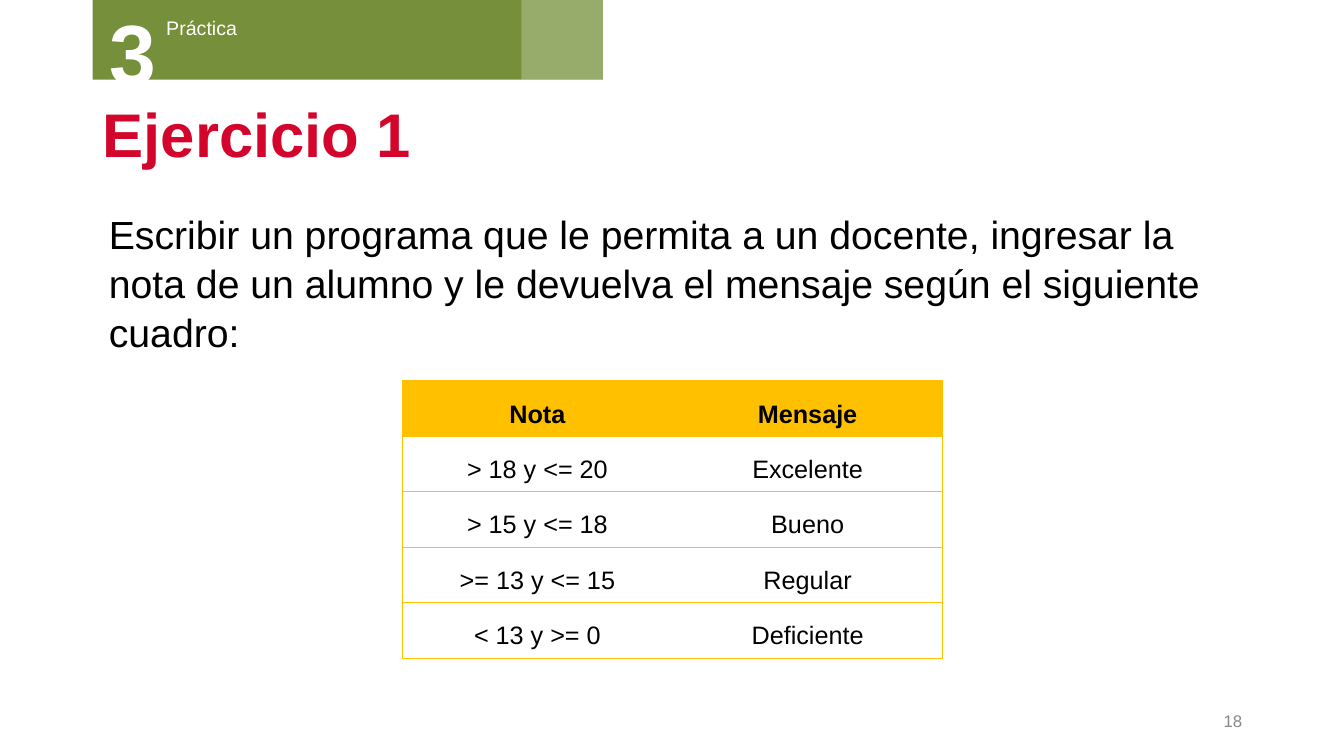
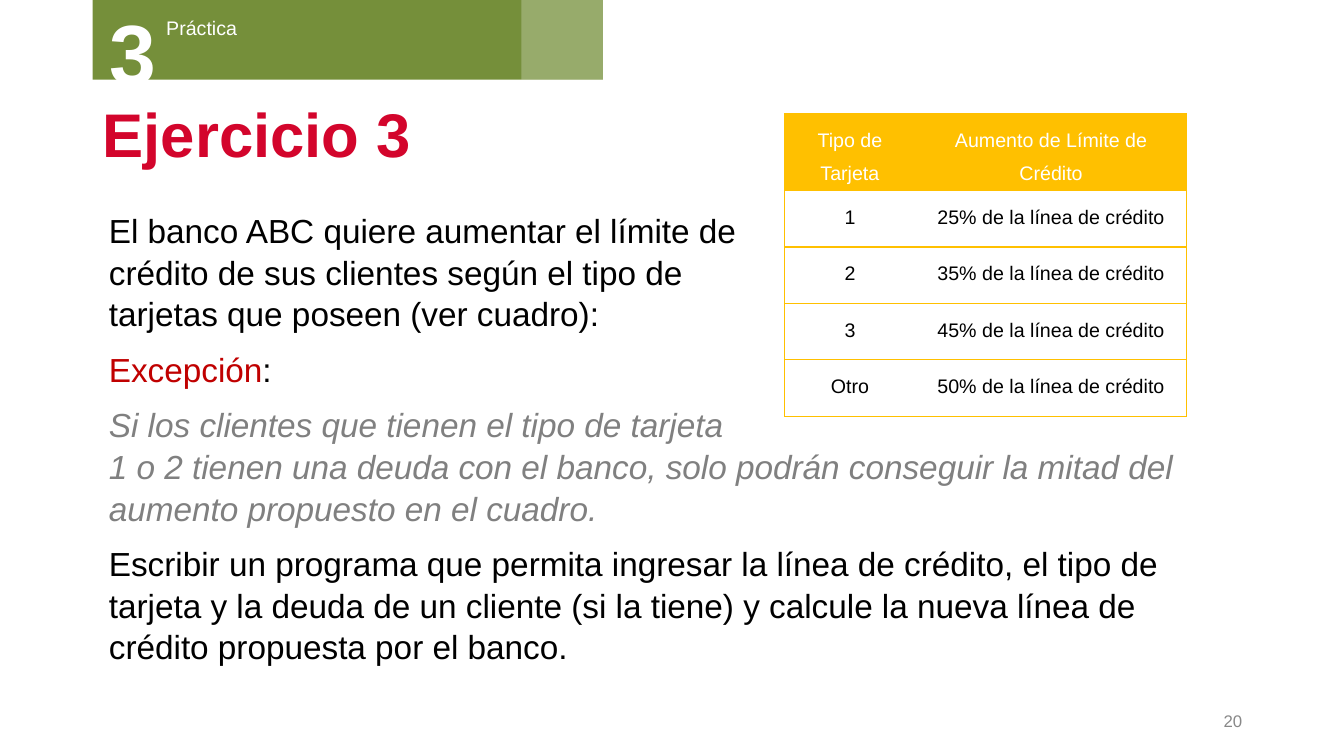
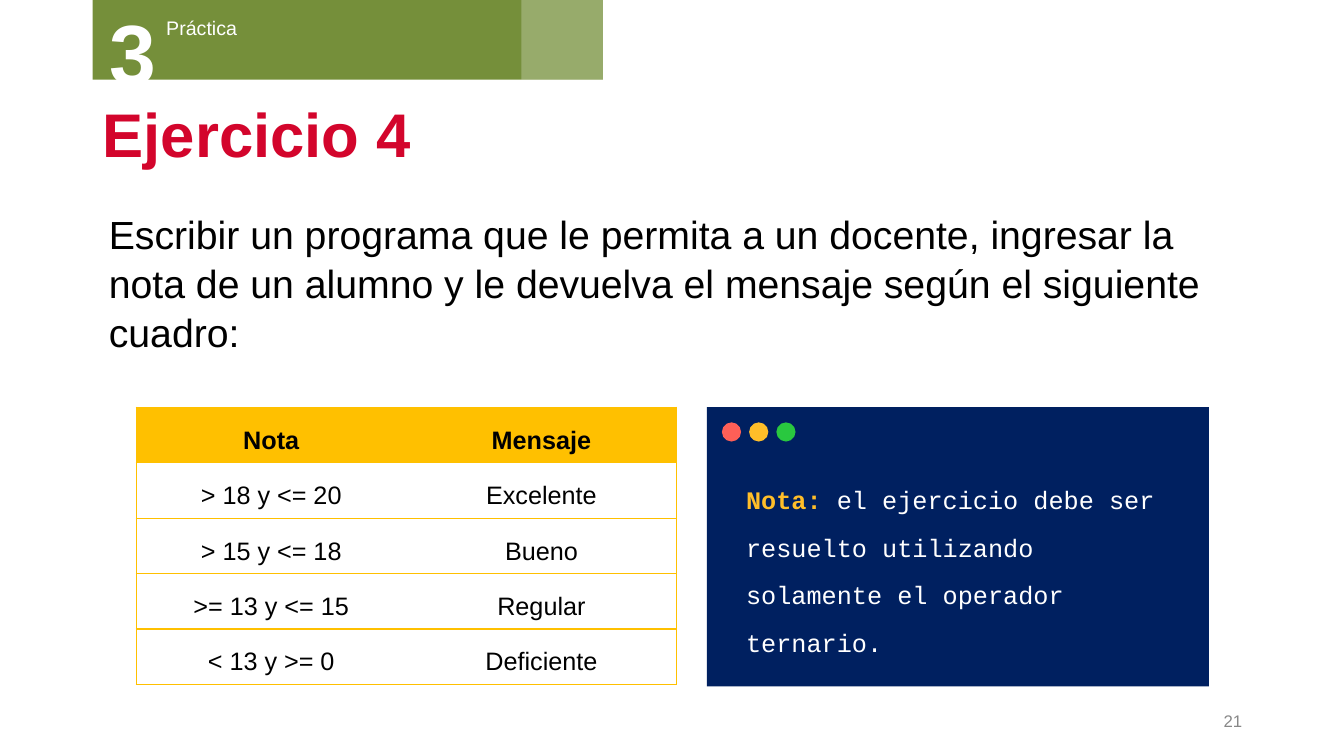
"""Build three practice slides with a shared banner, title and grade tables."""
import pptx
import pptx.util
import pptx.dml.color
import pptx.enum.shapes
import pptx.enum.text
import pptx.oxml.ns
import lxml.etree

RGBColor = pptx.dml.color.RGBColor
Shape = pptx.enum.shapes.MSO_SHAPE
Align = pptx.enum.text.PP_ALIGN
Anchor = pptx.enum.text.MSO_ANCHOR
qn = pptx.oxml.ns.qn

GREEN = RGBColor(0x75, 0x8F, 0x3A)
RED = RGBColor(0xD3, 0x05, 0x2C)
DARK_RED = RGBColor(0xC0, 0x00, 0x00)
GOLD = RGBColor(0xFF, 0xC0, 0x00)
NAVY = RGBColor(0x00, 0x20, 0x60)
CORAL = RGBColor(0xFE, 0x5F, 0x57)
AMBER = RGBColor(0xFF, 0xBE, 0x29)
LIME = RGBColor(0x29, 0xC8, 0x3F)
GRAY = RGBColor(0x80, 0x80, 0x80)
PALE = RGBColor(0x88, 0x88, 0x88)
BLACK = RGBColor(0, 0, 0)
WHITE = RGBColor(0xFF, 0xFF, 0xFF)

SCALE = 9144
TASK = ("Escribir un programa que le permita a un docente, ingresar la nota "
        "de un alumno y le devuelva el mensaje según el siguiente cuadro:")
GRADES = [("Nota", "Mensaje"), ("> 18 y <= 20", "Excelente"),
          ("> 15 y <= 18", "Bueno"), (">= 13 y <= 15", "Regular"),
          ("< 13 y >= 0", "Deficiente")]
LIMITS = [("Tipo de Tarjeta", "Aumento de Límite de Crédito"),
          ("1", "25% de la línea de crédito"),
          ("2", "35% de la línea de crédito"),
          ("3", "45% de la línea de crédito"),
          ("Otro", "50% de la línea de crédito")]
CARDS = [
    [("El banco ABC quiere aumentar el límite de\n"
      "crédito de sus clientes según el tipo de\n"
      "tarjetas que poseen (ver cuadro):", {})],
    [("Excepción", {"color": DARK_RED}), (":", {})],
    [("Si los clientes que tienen el tipo de tarjeta\n"
      "1 o 2 tienen una deuda con el banco, solo podrán conseguir la mitad "
      "del aumento propuesto en el cuadro.", {"color": GRAY, "italic": True})],
    [("Escribir un programa que permita ingresar la línea de crédito, el tipo "
      "de tarjeta y la deuda de un cliente (si la tiene) y calcule la nueva "
      "línea de crédito propuesta por el banco.", {})],
]


def px(*sizes):
    return [pptx.util.Emu(size * SCALE) for size in sizes]


def style(font, size, color, bold=False, italic=False, face="Arial"):
    font.name, font.size = face, pptx.util.Pt(size)
    font.bold, font.italic = bold, italic
    font.color.rgb = color


def write(frame, paras, align=Align.LEFT, line=1.0, gap=0, indent=None,
          anchor=Anchor.TOP, inset=(10, 5, 10, 5), **look):
    frame.word_wrap = True
    frame.auto_size = pptx.enum.text.MSO_AUTO_SIZE.NONE
    frame.vertical_anchor = anchor
    (frame.margin_left, frame.margin_top,
     frame.margin_right, frame.margin_bottom) = px(*inset)
    if isinstance(paras, str):
        paras = [[(paras, {})]]
    for index, runs in enumerate(paras):
        para = frame.add_paragraph() if index else frame.paragraphs[0]
        para.alignment, para.line_spacing = align, line
        para.space_before = pptx.util.Pt(gap if index else 0)
        if indent is not None:
            props = para._p.get_or_add_pPr()
            props.set("marL", str(indent * SCALE))
            props.set("indent", "0")
            lxml.etree.SubElement(props, qn("a:buNone"))
        for words, extra in runs:
            for row, part in enumerate(words.split("\n")):
                if row:
                    para.add_line_break()
                run = para.add_run()
                run.text = part
                style(run.font, **{**look, **extra})


class Deck:
    def __init__(self):
        self.show = pptx.Presentation()
        self.show.slide_width, self.show.slide_height = px(1333, 750)
        self.slide = None

    def start(self, title, number):
        self.slide = self.show.slides.add_slide(self.show.slide_layouts[1])
        self.banner()
        self.holder(self.slide.shapes.title, (92, 93, 1150, 86), title,
                    size=44, color=RED, bold=True, line=0.9,
                    anchor=Anchor.MIDDLE)
        self.label((942, 695, 300, 40), number, size=12, color=PALE,
                   align=Align.RIGHT, anchor=Anchor.MIDDLE)

    def banner(self):
        self.shape((92, -1, 506, 80), GREEN)
        self.label((155, 11, 275, 34), "Práctica", size=14, color=WHITE)
        self.label((99, -4, 112, 111), "3", size=60, color=WHITE, bold=True)
        self.shape((517, -1, 81, 80), WHITE, alpha=25)

    def holder(self, item, box, paras, **look):
        item.left, item.top, item.width, item.height = px(*box)
        write(item.text_frame, paras, **look)

    def body(self, paras, size):
        self.holder(self.slide.placeholders[1], (92, 202, 1150, 478), paras,
                    size=size, color=BLACK, line=1.04, gap=10, indent=6)

    def label(self, box, words, **look):
        write(self.slide.shapes.add_textbox(*px(*box)).text_frame,
              words, **look)

    def shape(self, box, color, kind=Shape.RECTANGLE, alpha=100):
        item = self.slide.shapes.add_shape(kind, *px(*box))
        item.shadow.inherit = False
        item.fill.solid()
        item.fill.fore_color.rgb = color
        item.line.fill.background()
        if alpha < 100:
            tone = item._element.spPr.find(".//" + qn("a:srgbClr"))
            lxml.etree.SubElement(tone, qn("a:alpha"), val=str(alpha * 1000))
        return item

    def edge(self, cell, side, shown):
        props = cell._tc.get_or_add_tcPr()
        line = lxml.etree.SubElement(props, qn("a:ln" + side), w="12700")
        if shown:
            fill = lxml.etree.SubElement(line, qn("a:solidFill"))
            lxml.etree.SubElement(fill, qn("a:srgbClr"), val=str(GOLD))
        else:
            lxml.etree.SubElement(line, qn("a:noFill"))

    def table(self, left, top, cols, rows, data, head, **look):
        grid = self.slide.shapes.add_table(
            len(data), len(cols), *px(left, top, sum(cols), sum(rows))).table
        grid.first_row = grid.horz_banding = False
        for col, width in zip(grid.columns, px(*cols)):
            col.width = width
        for row, height in zip(grid.rows, px(*rows)):
            row.height = height
        for r, texts in enumerate(data):
            for c, words in enumerate(texts):
                cell = grid.cell(r, c)
                self.edge(cell, "L", c == 0)
                self.edge(cell, "R", c == len(cols) - 1)
                self.edge(cell, "T", True)
                self.edge(cell, "B", True)
                cell.fill.solid()
                cell.fill.fore_color.rgb = WHITE if r else GOLD
                para = cell.text_frame.paragraphs[0]
                para.alignment, para.line_spacing = Align.CENTER, 1.5
                run = para.add_run()
                run.text = words
                tone = {"color": BLACK} if r else head
                style(run.font, **{**look, **tone})

    def grades(self, left, top):
        self.table(left, top, (268, 268), [55] * 5, GRADES,
                   {"color": BLACK, "bold": True}, size=18)

    def code(self, box, paras):
        panel = self.shape(box, NAVY)
        write(panel.text_frame, paras, inset=(39, 59, 39, 39), line=1.58,
              size=18, color=WHITE, face="Courier New")
        for index, color in enumerate((CORAL, AMBER, LIME)):
            dot = (box[0] + 15 + 27 * index, box[1] + 15, 19, 19)
            self.shape(dot, color, Shape.OVAL)


def main():
    deck = Deck()
    deck.start("Ejercicio 1", "18")
    deck.body(TASK, 28)
    deck.grades(399, 378)

    deck.start("Ejercicio 3", "20")
    deck.body(CARDS, 23.8)
    deck.table(778, 113, (130, 269), [76] + [56] * 4, LIMITS,
               {"color": WHITE}, size=14)

    deck.start("Ejercicio 4", "21")
    deck.body(TASK, 28)
    deck.grades(135, 404)
    deck.code((701, 404, 498, 277), [[
        ("Nota: ", {"color": AMBER, "bold": True}),
        ("el ejercicio debe ser resuelto utilizando solamente el operador "
         "ternario.", {})]])
    deck.show.save("out.pptx")


if __name__ == "__main__":
    main()
